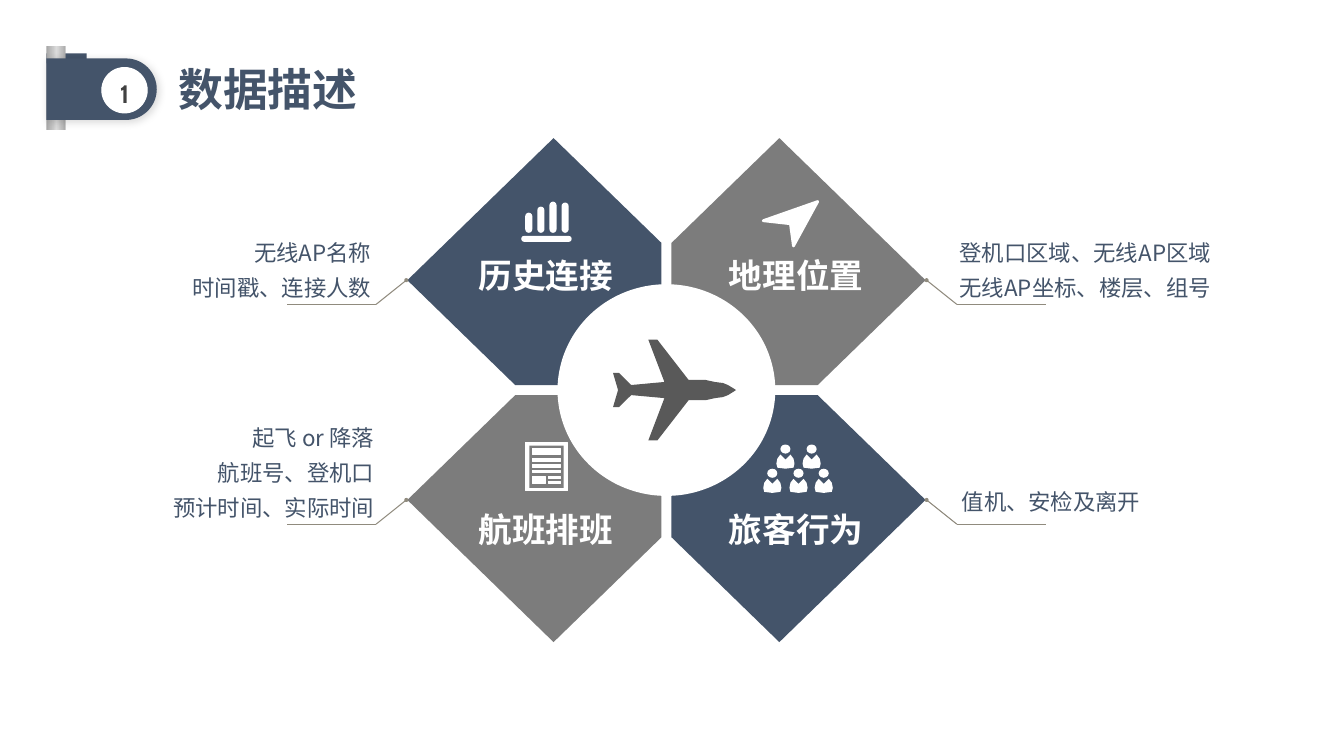
import math
from dataclasses import dataclass

from pptx import Presentation
from pptx import util as u
from pptx.dml.color import RGBColor
from pptx.enum import shapes, text
from pptx.oxml import parse_xml
from pptx.oxml.ns import nsdecls
from pptx.oxml.xmlchemy import OxmlElement

PX = 9144
KIND = shapes.MSO_SHAPE
ALIGN = text.PP_ALIGN
ANCHOR = text.MSO_ANCHOR


@dataclass(frozen=True)
class Theme:
    """Colours, fonts and type sizes of the deck."""
    navy: str = "44546A"
    gray: str = "7C7C7C"
    white: str = "FFFFFF"
    plane: str = "595959"
    leader: str = "908B7E"
    number: str = "414141"
    pole: tuple = ((0, "A7A7A7"), (54, "DBDBDB"), (100, "ABABAB"))
    body_font: str = "Noto Sans CJK SC"
    number_font: str = "Cabin"
    title_size: int = 32
    label_size: int = 24
    note_size: int = 16
    number_size: int = 18


THEME = Theme()


def paint(shape, fill, line=None, weight=0.75):
    """Give a shape a flat fill, an optional outline and no shadow."""
    shape.shadow.inherit = False
    shape.fill.solid()
    shape.fill.fore_color.rgb = RGBColor.from_string(fill)
    if line:
        shape.line.color.rgb = RGBColor.from_string(line)
        shape.line.width = u.Pt(weight)
    else:
        shape.line.fill.background()
    return shape


def add_preset(page, kind, box, fill, **outline):
    """Add a painted preset shape in a px box."""
    shape = page.shapes.add_shape(kind, *(value * PX for value in box))
    return paint(shape, fill, **outline)


def add_polygon(page, points, fill, origin=(0, 0), **outline):
    """Add a closed outline whose px points are measured from an origin."""
    start, *rest = [((origin[0] + x) * PX, (origin[1] + y) * PX) for x, y in points]
    builder = page.shapes.build_freeform(*start)
    builder.add_line_segments(rest, close=True)
    return paint(builder.convert_to_shape(), fill, **outline)


def write(frame, lines, color, size, font=THEME.body_font, bold=False, spacing=1.0,
          align=ALIGN.LEFT, anchor=ANCHOR.TOP):
    """Write one paragraph per line with a shared format."""
    frame.word_wrap = True
    frame.vertical_anchor = anchor
    for index, line in enumerate(lines):
        para = frame.add_paragraph() if index else frame.paragraphs[0]
        para.alignment, para.line_spacing = align, spacing
        span = para.add_run()
        span.text = line
        for name, value in {"name": font, "size": u.Pt(size), "bold": bold}.items():
            setattr(span.font, name, value)
        span.font.color.rgb = RGBColor.from_string(color)
        east_asian = OxmlElement("a:ea")
        east_asian.set("typeface", font)
        span.font._element.append(east_asian)


def add_text(page, box, lines, color, size, **format_values):
    """Add a text box in a px box."""
    shape = page.shapes.add_textbox(*(value * PX for value in box))
    write(shape.text_frame, lines, color, size, **format_values)


def draw_header(page, left, top, number, title):
    """Draw the flag on its pole, the section number and the title."""
    add_preset(page, KIND.RECTANGLE, (left, top + 7, 40, 10), THEME.navy)
    pole = add_preset(page, KIND.RECTANGLE, (left, top, 19, 83), THEME.white)
    stops = "".join(f'<a:gs pos="{place * 1000}"><a:srgbClr val="{color}"/></a:gs>'
                    for place, color in THEME.pole)
    solid = pole._element.spPr.find(".//{*}solidFill")
    solid.getparent().replace(solid, parse_xml(
        f'<a:gradFill {nsdecls("a")}><a:gsLst>{stops}</a:gsLst><a:lin ang="0"/></a:gradFill>'))

    radius = 30.5
    turns = [math.radians(angle) for angle in range(-90, 91, 5)]
    cap = [(79 + radius * math.cos(turn), radius + radius * math.sin(turn)) for turn in turns]
    flag = add_polygon(page, [(0, 0), *cap, (0, 61)], THEME.navy, (left, top + 12))
    flag._element.spPr.find("{*}effectLst").append(parse_xml(
        f'<a:outerShdw {nsdecls("a")} blurRad="{u.Pt(6)}" dist="{u.Pt(2)}" dir="2700000">'
        '<a:srgbClr val="000000"><a:alpha val="15000"/></a:srgbClr></a:outerShdw>'))

    badge = add_preset(page, KIND.OVAL, (left + 55, top + 21, 45, 45), THEME.white,
                       line=THEME.white)
    for side in ("left", "top", "right", "bottom"):
        setattr(badge.text_frame, f"margin_{side}", 0)
    write(badge.text_frame, [number], THEME.number, THEME.number_size, THEME.number_font,
          bold=True, spacing=1.2, align=ALIGN.CENTER, anchor=ANCHOR.MIDDLE)
    add_text(page, (left + 121, top + 17, 288, 56), [title], THEME.navy, THEME.title_size,
             bold=True, spacing=0.9, anchor=ANCHOR.MIDDLE)


def draw_petal(page, center, side, level, fill):
    """Draw one cut diamond in the quadrant given by two signs."""
    corners = [(5, 5), (150, 5), (257, 109), (112, 250), (5, 146)]
    add_polygon(page, [(side * x, level * y) for x, y in corners], fill, center)


def draw_bars_icon(page, left, top):
    """Draw four rounded bars on a base."""
    heights = (20, 26, 31, 30)
    bars = [(left + 4 + 12 * index, top + 31 - height, 7, height)
            for index, height in enumerate(heights)]
    for box in [*bars, (left, top + 34, 50, 6)]:
        bar = add_preset(page, KIND.ROUNDED_RECTANGLE, box, THEME.white)
        bar.adjustments[0] = 0.5


def draw_pointer_icon(page, left, top):
    """Draw the location pointer."""
    add_polygon(page, [(30, 44), (54, 0), (0, 19), (27, 22)], THEME.white, (left, top),
                line=THEME.white, weight=2)


def draw_sheet_icon(page, left, top):
    """Draw a printed sheet with a heading, rows and a picture block."""
    add_preset(page, KIND.RECTANGLE, (left, top, 42, 48), THEME.white, line=THEME.white)
    add_preset(page, KIND.RECTANGLE, (left + 4, top + 3, 34, 42), THEME.gray)
    rows = [(7, 6, 28, 6), (7, 16, 28, 3), (7, 22, 28, 3), (7, 28, 28, 2),
            (7, 34, 13, 7), (23, 34, 12, 2), (23, 39, 12, 2)]
    for x, y, width, height in rows:
        add_preset(page, KIND.RECTANGLE, (left + x, top + y, width, height), THEME.white,
                   line=THEME.white)


def draw_people_icon(page, left, top):
    """Draw two people behind three."""
    body = [(14, 0), (9, 5), (4, 0), (1, 4), (0, 9), (1, 13), (9, 14), (17, 13),
            (18, 9), (17, 4)]
    for x, y in [(0, 24), (26, 24), (51, 24), (13, 0), (39, 0)]:
        add_preset(page, KIND.OVAL, (left + x + 4, top + y, 10, 9), THEME.white)
        add_polygon(page, body, THEME.white, (left + x, top + y + 10))


def draw_plane(page, left, middle):
    """Draw the aeroplane, mirrored about its middle line."""
    upper = [(5, 0), (0, 17), (6, 17), (18, 5), (51, 8), (35, 50), (44, 50), (75, 10),
             (92, 10), (101, 8), (109, 7), (114, 5), (119, 2), (122, 0)]
    lower = [(x, -y) for x, y in reversed(upper[1:-1])]
    add_polygon(page, upper + lower, THEME.plane, (left, middle))


def draw_leader(page, tip_x, tip_y, side):
    """Draw a dot and a bent line running outwards from it."""
    joints = [(tip_x, tip_y), (tip_x + side * 30, tip_y + 24), (tip_x + side * 118, tip_y + 24)]
    for start, end in zip(joints, joints[1:]):
        line = page.shapes.add_connector(shapes.MSO_CONNECTOR.STRAIGHT,
                                         *(value * PX for value in start + end))
        line.line.color.rgb = RGBColor.from_string(THEME.leader)
        line.line.width = u.Pt(0.75)
        line._element.spPr.append(OxmlElement("a:effectLst"))
    add_preset(page, KIND.OVAL, (tip_x - 2, tip_y - 2, 4, 4), THEME.leader)


def draw_diagram(page, center):
    """Draw the four topics around the aeroplane."""
    x, y = center
    topics = [
        (-1, -1, THEME.navy, "历史连接", draw_bars_icon, (-144, -187),
         (178, 224, 200, 80), ["无线AP名称", "时间戳、连接人数"], 1.3),
        (1, -1, THEME.gray, "地理位置", draw_pointer_icon, (96, -187),
         (942, 224, 274, 80), ["登机口区域、无线AP区域", "无线AP坐标、楼层、组号"], 1.3),
        (-1, 1, THEME.gray, "航班排班", draw_sheet_icon, (-140, 52),
         (159, 408, 222, 115), ["起飞 or 降落", "航班号、登机口", "预计时间、实际时间"], 1.3),
        (1, 1, THEME.navy, "旅客行为", draw_people_icon, (96, 54),
         (944, 479, 200, 37), ["值机、安检及离开"], 1.0),
    ]
    for side, level, fill, *rest in topics:
        draw_petal(page, center, side, level, fill)
    add_preset(page, KIND.OVAL, (x - 108, y - 105, 216, 210), THEME.white)
    draw_plane(page, x - 53, y)
    for side, level, fill, label, draw_icon, offset, note_box, note, spacing in topics:
        draw_leader(page, x + side * 258, y + level * 109, side)
        draw_icon(page, x + offset[0], y + offset[1])
        label_box = (x - 72 + side * 124, y - 13 + level * 126, 155, 50)
        add_text(page, label_box, [label], THEME.white, THEME.label_size, bold=True)
        add_text(page, note_box, note, THEME.navy, THEME.note_size, spacing=spacing,
                 align=ALIGN.RIGHT if side < 0 else ALIGN.LEFT)


def main():
    """Build and save the deck."""
    deck = Presentation()
    deck.slide_width, deck.slide_height = 1333 * PX, 750 * PX
    page = deck.slides.add_slide(deck.slide_layouts[6])
    draw_header(page, 46, 46, "1", "数据描述")
    draw_diagram(page, (661, 387))
    deck.save("out.pptx")


if __name__ == "__main__":
    main()
